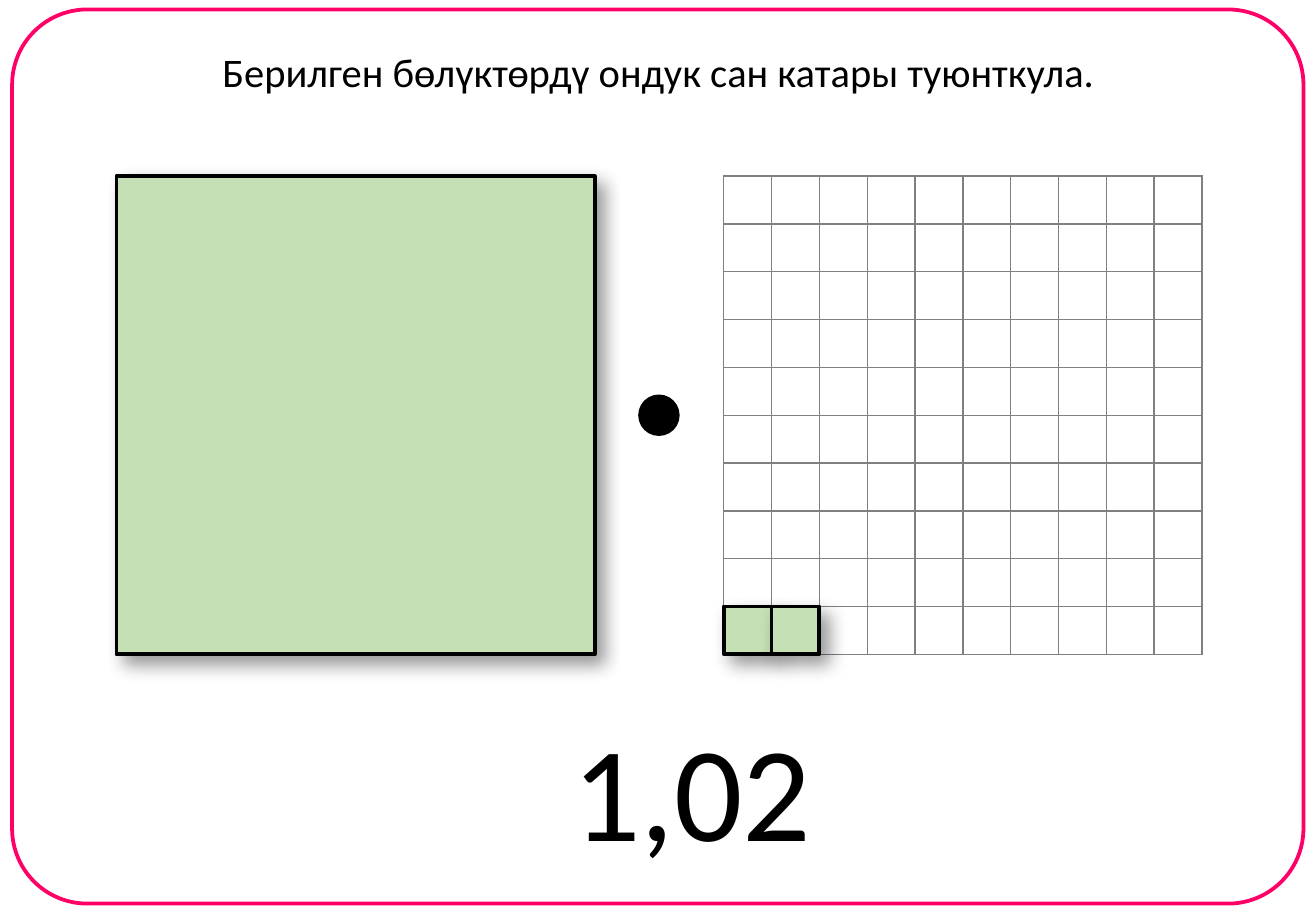
from lxml import etree
from pptx import Presentation
from pptx.dml.color import RGBColor
from pptx.enum import shapes, text
from pptx.oxml import parse_xml
from pptx.util import Pt

NS = 'xmlns:a="http://schemas.openxmlformats.org/drawingml/2006/main"'
SHADOW = f'''<a:effectLst {NS}>
  <a:outerShdw blurRad="{Pt(11)}" dist="{Pt(7)}" dir="2700000" algn="tl" rotWithShape="0">
    <a:srgbClr val="000000"><a:alpha val="40000"/></a:srgbClr>
  </a:outerShdw>
</a:effectLst>'''
GREEN, BLACK, GREY, WHITE, PINK = "C5E0B4", "000000", "808080", "FFFFFF", "FF0066"
CELL = 28.35
COUNT = 10
WHOLE = CELL * COUNT
TOP = 104.4
GRID_LEFT = 429


def rgb(value):
    return RGBColor.from_string(value)


def add_outlined(kind, left, top, width, height, line, fill=None):
    """Add a shape with a 2.25 pt outline, no shadow and an optional fill."""
    shape = slide.shapes.add_shape(kind, Pt(left), Pt(top), Pt(width), Pt(height))
    shape.shadow.inherit = False
    shape.line.color.rgb = rgb(line)
    shape.line.width = Pt(2.25)
    if fill:
        shape.fill.solid()
        shape.fill.fore_color.rgb = rgb(fill)
    else:
        shape.fill.background()
    return shape


prs = Presentation()
prs.slide_width, prs.slide_height = Pt(780), Pt(540)
slide = prs.slides.add_slide(prs.slide_layouts[6])

frame = add_outlined(shapes.MSO_SHAPE.ROUNDED_RECTANGLE, 7.2, 5.6, 765.4, 530, PINK)
frame.adjustments[0] = 0.084

# Hundredths grid
hundredths = slide.shapes.add_table(
    COUNT, COUNT, Pt(GRID_LEFT), Pt(TOP), Pt(WHOLE), Pt(WHOLE)).table
hundredths.first_row = hundredths.horz_banding = False
for column in hundredths.columns:
    column.width = Pt(CELL)
for row in hundredths.rows:
    row.height = Pt(CELL)
for cell in hundredths.iter_cells():
    cell.margin_left = cell.margin_right = cell.margin_top = cell.margin_bottom = 0
    cell.fill.solid()
    cell.fill.fore_color.rgb = rgb(WHITE)
    properties = cell._tc.get_or_add_tcPr()
    for order, side in enumerate("LRTB"):
        properties.insert(order, parse_xml(
            f'<a:ln{side} {NS} w="{Pt(1)}"><a:solidFill><a:srgbClr val="{GREY}"/>'
            f'</a:solidFill></a:ln{side}>'))

# One whole and two hundredths
last_row = TOP + WHOLE - CELL
for left, top, side in [(69, TOP, WHOLE),
                        (GRID_LEFT, last_row, CELL),
                        (GRID_LEFT + CELL, last_row, CELL)]:
    part = add_outlined(shapes.MSO_SHAPE.RECTANGLE, left, top, side, side, BLACK, GREEN)
    flat = part._element.spPr.find("{*}effectLst")
    flat.getparent().replace(flat, etree.fromstring(SHADOW))

DOT = 22.3
add_outlined(shapes.MSO_SHAPE.OVAL, 379.4, TOP + (WHOLE - DOT) / 2, DOT, DOT, BLACK, BLACK)

for words, size, left, top, width, height in [
        ("1,02", 80, 331.2, 415.4, 157.7, 104.4),
        ("Берилген бөлүктөрдү ондук сан катары туюнткула.", 24, 121.7, 24.5, 537.1, 36)]:
    label = slide.shapes.add_textbox(Pt(left), Pt(top), Pt(width), Pt(height)).text_frame
    label.word_wrap = False
    label.auto_size = text.MSO_AUTO_SIZE.SHAPE_TO_FIT_TEXT
    paragraph = label.paragraphs[0]
    paragraph.alignment = text.PP_ALIGN.CENTER
    run = paragraph.add_run()
    run.text = words
    run.font.name = "Calibri"
    run.font.size = Pt(size)
    run.font.color.rgb = rgb(BLACK)

prs.save("out.pptx")
